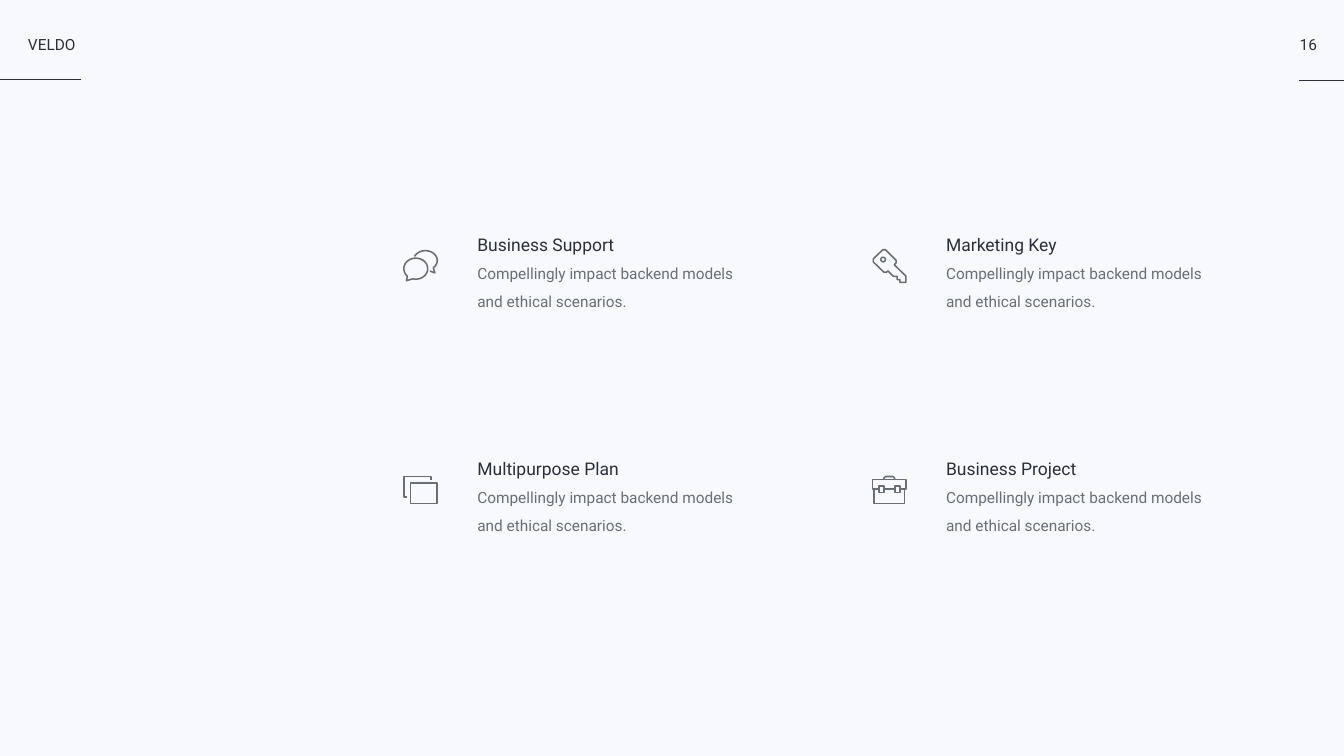
from math import cos, radians, sin

from lxml import etree
from pptx import Presentation
from pptx.dml.color import RGBColor
from pptx.enum.shapes import MSO_CONNECTOR
from pptx.enum.text import MSO_AUTO_SIZE, PP_ALIGN
from pptx.oxml.ns import qn
from pptx.util import Pt

STRAIGHT = MSO_CONNECTOR.STRAIGHT
GROW = MSO_AUTO_SIZE.SHAPE_TO_FIT_TEXT
LEFT, CENTER = PP_ALIGN.LEFT, PP_ALIGN.CENTER

THEME = {
    "font": "Roboto",
    "paper": RGBColor.from_string("F7F9FF"),
    "ink": RGBColor.from_string("2C2E3C"),
    "muted": RGBColor.from_string("6A6E77"),
    "heading": 25,
    "body": 22,
    "rule": 2,
    "icon_line": 2.2,
}

BRAND = "VELDO"
PAGE = "16"
BODY = ["Compellingly impact backend models", "and ethical scenarios."]
FEATURES = [
    ("Business Support", "chat"),
    ("Marketing Key", "key"),
    ("Multipurpose Plan", "windows"),
    ("Business Project", "briefcase"),
]

SLIDE_W, SLIDE_H = 1920, 1080
GRID_X, GRID_Y = 682, 319
COL_PITCH, ROW_PITCH = 669.6, 320.4
TEXT_W, TEXT_H = 368, 121.6
ICON_GAP, ICON_SIZE = 106, 50


def arc(cx, cy, rx, ry, start, end, step=6):
    return [(cx + rx * cos(radians(a)), cy + ry * sin(radians(a)))
            for a in range(start, end + 1, step)]


def box(left, top, right, bottom):
    return [(left, top), (right, top), (right, bottom), (left, bottom)]


ICONS = {
    "chat": [
        (arc(18, 29, 17, 15, 135, 465) + [(4.7, 46.3)], True),
        (arc(31.7, 17.3, 17, 14, 204, 408) + [(45.3, 35), (38.2, 32.5)], False),
    ],
    "key": [
        ([(48.6, 48.6), (40, 48.6), (40, 44.6), (36, 44.6), (36, 40),
          (30.5, 40), (23, 32.3), (20.5, 34.3), (17, 34), (2, 19.5),
          (2, 15), (15.5, 2), (19.5, 2), (34.5, 17), (34.5, 21),
          (32, 23.5), (48.6, 39.8)], True),
        (arc(16, 16, 3.2, 3.2, 0, 354), True),
    ],
    "windows": [
        ([(5.8, 35), (1, 35), (1, 5.5), (40, 5.5), (40, 10)], False),
        (box(10.4, 14.8, 48.6, 44.3), True),
    ],
    "briefcase": [
        ([(10.4, 23.4), (1, 23.4), (1, 9.7), (48.6, 9.7),
          (48.6, 23.4), (40, 23.4)], False),
        ([(17, 23.4), (32.8, 23.4)], False),
        (box(10.4, 19, 17, 28.4), True),
        (box(32.8, 19, 40, 28.4), True),
        ([(3.2, 23.4), (3.2, 44.3), (46.8, 44.3), (46.8, 23.4)], False),
        ([(17, 9.7), (17, 8), (19.5, 5.5), (30, 5.5), (32.6, 8),
          (32.6, 9.7)], False),
    ],
}


def add_text(s, left, top, width, height, lines, spacing=None, align=LEFT):
    tf = s.shapes.add_textbox(Pt(left), Pt(top), Pt(width), Pt(height)).text_frame
    tf.margin_left = tf.margin_top = tf.margin_right = tf.margin_bottom = 0
    tf.word_wrap = False
    tf.auto_size = GROW
    tf.text = "\n".join(text for text, _, _ in lines)
    for p, (_, size, color) in zip(tf.paragraphs, lines):
        p.alignment = align
        if spacing:
            p.line_spacing = spacing
        font = p.runs[0].font
        font.name = THEME["font"]
        font.size = Pt(THEME[size])
        font.color.rgb = THEME[color]


def add_rule(s, x1, x2, y):
    line = s.shapes.add_connector(STRAIGHT, Pt(x1), Pt(y), Pt(x2), Pt(y))
    line.line.color.rgb = THEME["ink"]
    line.line.width = Pt(THEME["rule"])
    etree.SubElement(line._element.spPr, qn("a:effectLst"))


def add_icon(s, name, left, top):
    contours = [([(Pt(x), Pt(y)) for x, y in points], closed)
                for points, closed in ICONS[name]]
    builder = s.shapes.build_freeform(*contours[0][0][0], scale=1.0)
    for points, closed in contours:
        builder.move_to(*points[0])
        builder.add_line_segments(points[1:], close=closed)
    icon = builder.convert_to_shape(Pt(left), Pt(top))
    icon.shadow.inherit = False
    icon.fill.background()
    icon.line.color.rgb = THEME["muted"]
    icon.line.width = Pt(THEME["icon_line"])


def main():
    prs = Presentation()
    prs.slide_width, prs.slide_height = Pt(SLIDE_W), Pt(SLIDE_H)
    s = prs.slides.add_slide(prs.slide_layouts[6])
    s.background.fill.solid()
    s.background.fill.fore_color.rgb = THEME["paper"]

    add_rule(s, 0, 116, 113.8)
    add_text(s, 40, 49.7, 75.6, 28.8, [(BRAND, "body", "ink")])
    add_rule(s, 1856, SLIDE_W, 115)
    add_text(s, 1856, 49.7, 26, 28.8, [(PAGE, "body", "ink")], align=CENTER)

    for i, (heading, icon) in enumerate(FEATURES):
        row, col = divmod(i, 2)
        left = GRID_X + col * COL_PITCH
        top = GRID_Y + row * ROW_PITCH
        lines = [(heading, "heading", "ink")]
        lines += [(text, "body", "muted") for text in BODY]
        add_icon(s, icon, left - ICON_GAP, top + (TEXT_H - ICON_SIZE) / 2)
        add_text(s, left, top, TEXT_W, TEXT_H, lines, spacing=1.5)

    prs.save("out.pptx")


if __name__ == "__main__":
    main()
